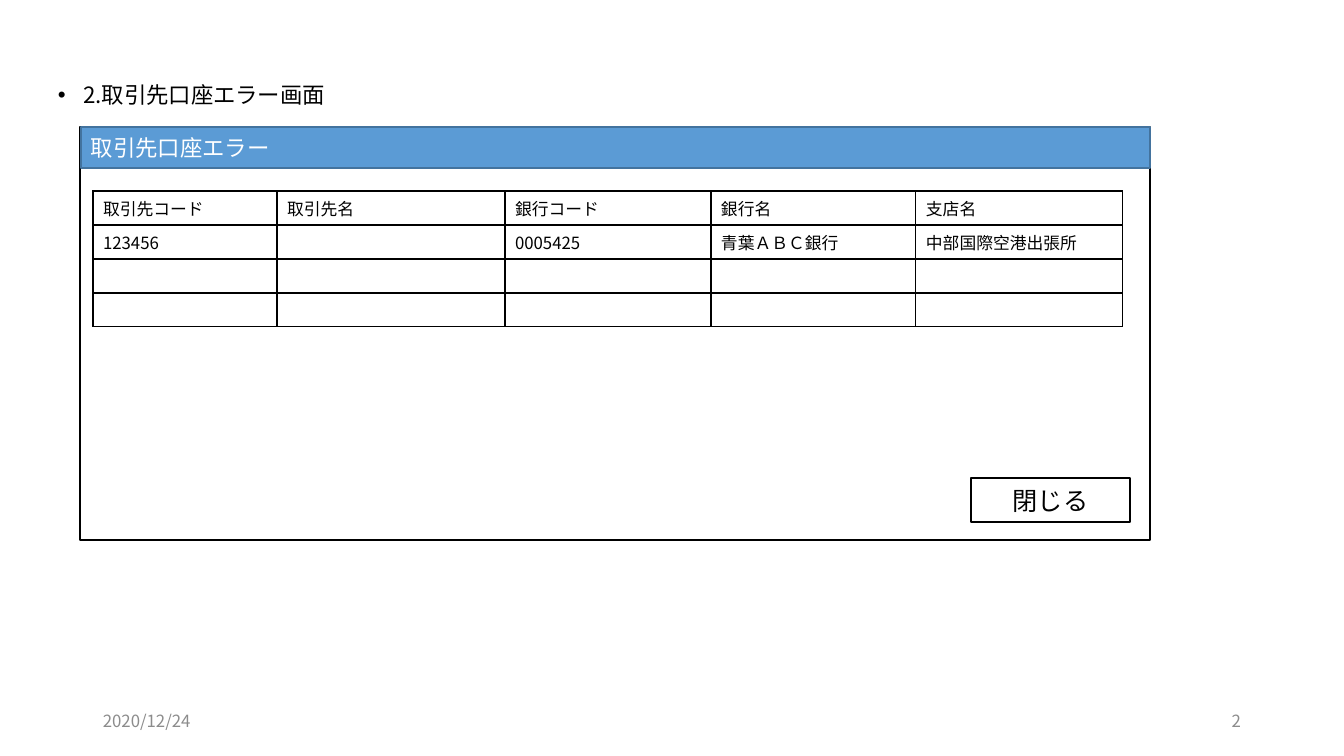
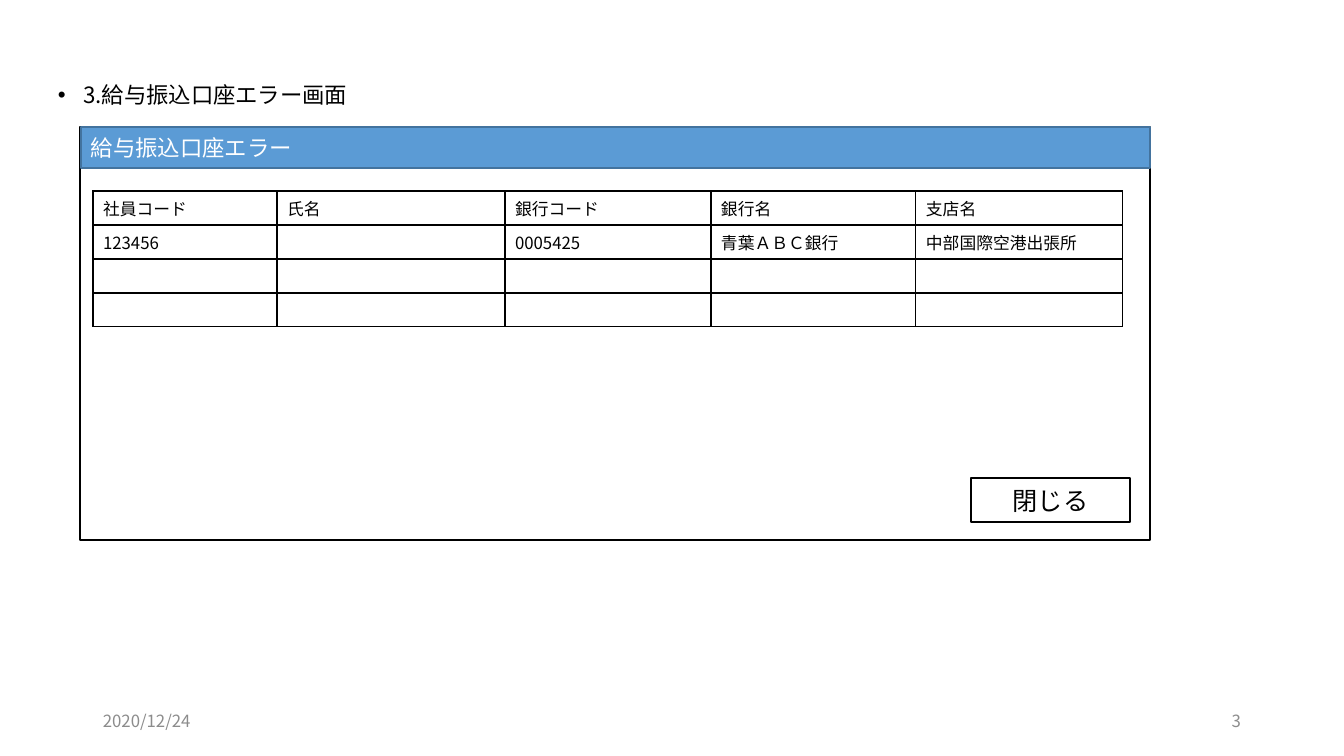
import pptx
import pptx.util
import pptx.dml.color
import pptx.enum.shapes
import pptx.enum.text
import pptx.oxml
import pptx.oxml.ns

FONT = "Noto Sans CJK JP"
BLACK, WHITE, GRAY = "000000", "FFFFFF", "8C8C8C"
BLUE, EDGE = "5B9BD5", "43739E"
ALIGN = pptx.enum.text.PP_ALIGN
MIDDLE = pptx.enum.text.MSO_ANCHOR.MIDDLE
TOP = pptx.enum.text.MSO_ANCHOR.TOP
DATE = "2020/12/24"
COLS = (184, 228, 206, 205, 207)
ROWS = 4
ROW = 34
SAMPLE = ("123456", "", "0005425", "青葉ＡＢＣ銀行", "中部国際空港出張所")
PAGES = (
    (2, "取引先口座エラー", ("取引先コード", "取引先名")),
    (3, "給与振込口座エラー", ("社員コード", "氏名")),
)


def px(num):
    return pptx.util.Emu(round(num * 914400 / 100.8))


def color(code):
    return pptx.dml.color.RGBColor.from_string(code)


def apply(item, **values):
    for name, value in values.items():
        setattr(item, name, value)


def add_xml(node, tag, body="", **attrs):
    words = "".join(f' {key}="{value}"' for key, value in attrs.items())
    space = pptx.oxml.ns.nsdecls("a")
    node.append(pptx.oxml.parse_xml(f"<a:{tag} {space}{words}>{body}</a:{tag}>"))


def write(frame, text, size, ink=BLACK, align=ALIGN.LEFT, anchor=MIDDLE):
    apply(frame, word_wrap=True, vertical_anchor=anchor)
    para = frame.paragraphs[0]
    para.alignment = align
    if not text:
        add_xml(para._p, "endParaRPr", sz=size * 100)
        return para
    run = para.add_run()
    run.text = text
    apply(run.font, size=pptx.util.Pt(size), name=FONT)
    run.font.color.rgb = color(ink)
    add_xml(run._r.get_or_add_rPr(), "ea", typeface=FONT)
    return para


def add_rect(slide, box, edge=BLACK, width=1, fill=None):
    kind = pptx.enum.shapes.MSO_SHAPE.RECTANGLE
    shape = slide.shapes.add_shape(kind, *map(px, box))
    shape.shadow.inherit = False
    if fill:
        shape.fill.solid()
        shape.fill.fore_color.rgb = color(fill)
    else:
        shape.fill.background()
    shape.line.color.rgb = color(edge)
    shape.line.width = pptx.util.Pt(width)
    return shape.text_frame


def add_label(slide, box, text, size, **style):
    frame = slide.shapes.add_textbox(*map(px, box)).text_frame
    return write(frame, text, size, **style)


def add_bullet(slide, text):
    para = add_label(slide, (48, 79, 1246, 614), text, 16, anchor=TOP)
    apply(para, line_spacing=0.9, space_before=pptx.util.Pt(10))
    props = para._p.get_or_add_pPr()
    indent = pptx.util.Inches(0.25)
    props.set("marL", str(indent))
    props.set("indent", str(-indent))
    add_xml(props, "buFont", typeface="Arial")
    add_xml(props, "buChar", char="•")


def style_cell(cell):
    props = cell._tc.get_or_add_tcPr()
    paint = f'<a:solidFill><a:srgbClr val="{BLACK}"/></a:solidFill>'
    for side in "LRTB":
        add_xml(props, "ln" + side, paint, w=pptx.util.Pt(1))
    cell.fill.background()


def add_grid(slide, heads):
    box = (93, 191, sum(COLS), ROW * ROWS)
    grid = slide.shapes.add_table(ROWS, len(COLS), *map(px, box)).table
    apply(grid, first_row=False, horz_banding=False)
    for col, width in zip(grid.columns, COLS):
        col.width = px(width)
    blank = ("",) * len(COLS)
    texts = [heads, SAMPLE] + [blank] * (ROWS - 2)
    for row, line in zip(grid.rows, texts):
        row.height = px(ROW)
        for cell, text in zip(row.cells, line):
            style_cell(cell)
            write(cell.text_frame, text, 12, anchor=TOP)


def add_dialog(slide, title, heads):
    add_rect(slide, (80, 127, 1070, 413))
    bar = add_rect(slide, (81, 127, 1069, 41), EDGE, fill=BLUE)
    write(bar, title, 16, WHITE)
    button = add_rect(slide, (971, 478, 159, 44), width=1.5)
    write(button, "閉じる", 18, align=ALIGN.CENTER)
    add_grid(slide, heads)


def add_footer(slide, page):
    for left, text, align in ((93, DATE, ALIGN.LEFT), (949, str(page), ALIGN.RIGHT)):
        add_label(slide, (left, 701, 302, 40), text, 12, ink=GRAY, align=align)


def main():
    deck = pptx.Presentation()
    apply(deck, slide_width=px(1344), slide_height=px(756))
    for page, title, keys in PAGES:
        slide = deck.slides.add_slide(deck.slide_layouts[6])
        add_bullet(slide, f"{page}.{title}画面")
        add_dialog(slide, title, keys + ("銀行コード", "銀行名", "支店名"))
        add_footer(slide, page)
    deck.save("out.pptx")


main()
